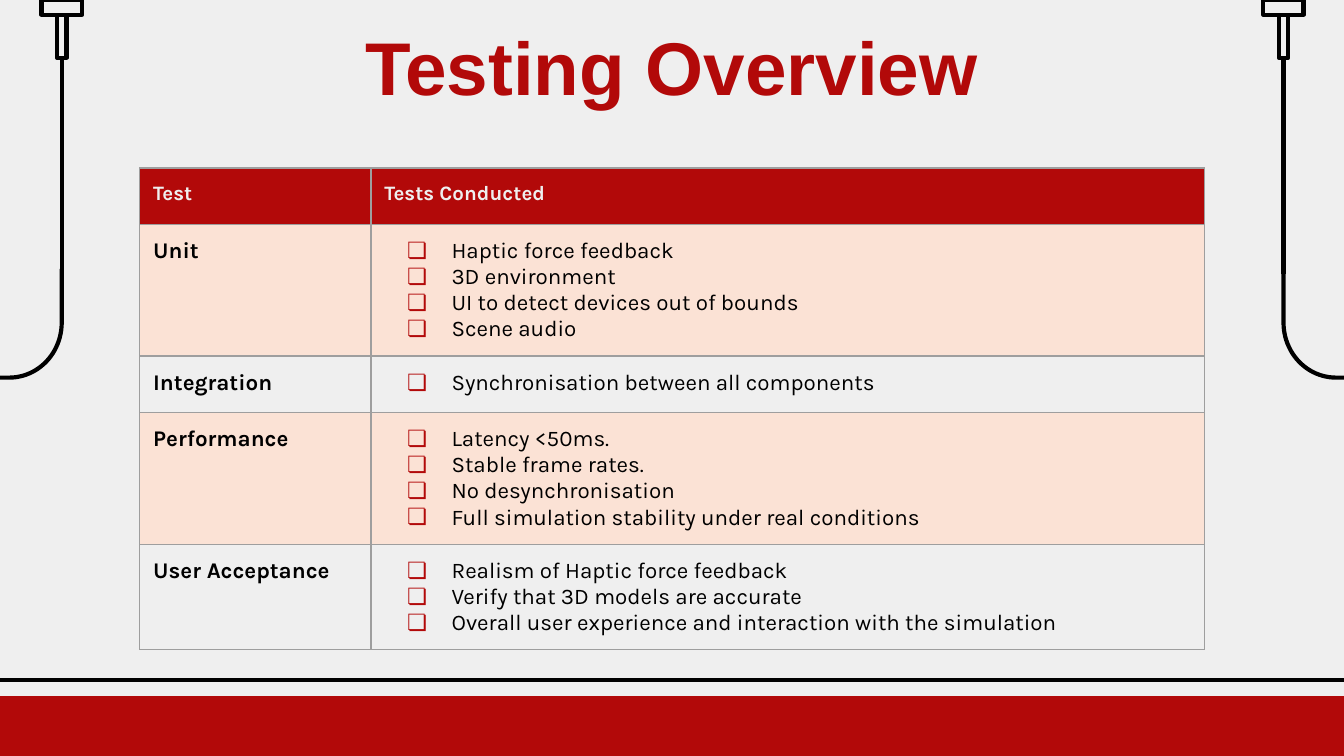
"""Build the Testing Overview slide with its table and cable decorations."""
from dataclasses import dataclass
from math import cos, pi, sin

from lxml.etree import SubElement
from pptx import Presentation
from pptx.dml.color import RGBColor
from pptx.enum.shapes import MSO_CONNECTOR, MSO_SHAPE
from pptx.enum.text import MSO_ANCHOR, MSO_AUTO_SIZE, PP_ALIGN
from pptx.oxml.ns import qn
from pptx.util import Inches, Pt


@dataclass(frozen=True)
class Theme:
    red: str = "B20909"
    paper: str = "EFEFEF"
    peach: str = "FBE2D5"
    ink: str = "000000"
    border: str = "9E9E9E"
    title_font: str = "Arial"
    table_font: str = "Karla"
    title_size: int = 40
    header_size: int = 11
    body_size: int = 12
    stroke: float = 2.25
    border_width: float = 0.75


theme = Theme()


def add_text(paragraph, text, font_name, size, color, bold):
    run = paragraph.add_run()
    run.text = text
    run.font.name = font_name
    run.font.size = Pt(size)
    run.font.bold = bold
    run.font.color.rgb = RGBColor.from_string(color)


def draw_stroke(outline):
    outline.line.color.rgb = RGBColor.from_string(theme.ink)
    outline.line.width = Pt(theme.stroke)
    SubElement(outline._element.spPr, qn("a:effectLst"))


prs = Presentation()
prs.slide_width = Inches(10)
prs.slide_height = Inches(10 * 9 / 16)
slide = prs.slides.add_slide(prs.slide_layouts[5])
slide.background.fill.solid()
slide.background.fill.fore_color.rgb = RGBColor.from_string(theme.paper)
shapes = slide.shapes

floor_line = shapes.add_connector(
    MSO_CONNECTOR.STRAIGHT, Inches(-0.04), Inches(5.06), Inches(10.02), Inches(5.06))
draw_stroke(floor_line)

footer_band = shapes.add_shape(
    MSO_SHAPE.RECTANGLE, Inches(-0.01), Inches(5.18), Inches(10.03), Inches(0.46))
footer_band.shadow.inherit = False
footer_band.fill.solid()
footer_band.fill.fore_color.rgb = RGBColor.from_string(theme.red)
footer_band.line.fill.background()

bend_top, bend_radius_x, bend_radius_y, arc_steps = 2.4, 0.39, 0.41, 24
for cable_x, outward, slide_edge in ((9.55, 1, 10), (0.46, -1, 0)):
    for top, width, height in ((0, 0.3, 0.11), (0.11, 0.07, 0.32)):
        plug_part = shapes.add_shape(
            MSO_SHAPE.RECTANGLE, Inches(cable_x - width / 2), Inches(top),
            Inches(width), Inches(height))
        plug_part.fill.background()
        draw_stroke(plug_part)

    cable = shapes.add_connector(
        MSO_CONNECTOR.STRAIGHT, Inches(cable_x), Inches(2.04), Inches(cable_x), Inches(0.43))
    cable.end_connect(plug_part, 2)
    draw_stroke(cable)

    arc = []
    for step in range(arc_steps + 1):
        angle = pi / 2 * step / arc_steps
        arc.append((Inches(cable_x + outward * bend_radius_x * (1 - cos(angle))),
                    Inches(bend_top + bend_radius_y * sin(angle))))
    bend_path = shapes.build_freeform(Inches(cable_x), Inches(2))
    bend_path.add_line_segments(
        arc + [(Inches(slide_edge), Inches(bend_top + bend_radius_y))], close=False)
    bend = bend_path.convert_to_shape()
    bend.fill.background()
    draw_stroke(bend)

title = shapes.title
title.left, title.top = Inches(0.53), Inches(0.04)
title.width, title.height = Inches(8.93), Inches(0.9)
title_frame = title.text_frame
title_frame.auto_size = MSO_AUTO_SIZE.NONE
title_frame.word_wrap = True
title_frame.vertical_anchor = MSO_ANCHOR.MIDDLE
title_frame.margin_left = title_frame.margin_right = Inches(0.1)
title_frame.margin_top = title_frame.margin_bottom = Inches(0.1)
title_frame.paragraphs[0].alignment = PP_ALIGN.CENTER
add_text(title_frame.paragraphs[0], "Testing Overview", theme.title_font,
         theme.title_size, theme.red, True)

test_rows = [
    ("Test", ["Tests Conducted"]),
    ("Unit", ["Haptic force feedback", "3D environment",
              "UI to detect devices out of bounds", "Scene audio"]),
    ("Integration", ["Synchronisation between all components"]),
    ("Performance", ["Latency <50ms.", "Stable frame rates.", "No desynchronisation",
                     "Full simulation stability under real conditions"]),
    ("User Acceptance", ["Realism of Haptic force feedback",
                         "Verify that 3D models are accurate",
                         "Overall user experience and interaction with the simulation"]),
]
row_heights = (0.42, 0.42, 0.42, 0.42, 0.63)
tests = shapes.add_table(len(test_rows), 2, Inches(1.04), Inches(1.25),
                         Inches(7.92), Inches(sum(row_heights))).table
tests.horz_banding = False
tests.columns[0].width = Inches(1.72)
tests.columns[1].width = Inches(6.2)

for row_index, (test_name, conducted) in enumerate(test_rows):
    tests.rows[row_index].height = Inches(row_heights[row_index])
    is_header = row_index == 0
    size = theme.header_size if is_header else theme.body_size
    color = theme.paper if is_header else theme.ink
    for column_index, entries in enumerate(([test_name], conducted)):
        cell = tests.cell(row_index, column_index)
        cell.margin_left = cell.margin_right = Inches(0.1)
        cell.margin_top = cell.margin_bottom = Inches(0.1)
        cell_properties = cell._tc.get_or_add_tcPr()
        for side in ("a:lnL", "a:lnR", "a:lnT", "a:lnB"):
            edge = SubElement(cell_properties, qn(side), w=str(Pt(theme.border_width)))
            edge_fill = SubElement(edge, qn("a:solidFill"))
            SubElement(edge_fill, qn("a:srgbClr"), val=theme.border)
        if is_header or row_index % 2:
            cell.fill.solid()
            cell.fill.fore_color.rgb = RGBColor.from_string(
                theme.red if is_header else theme.peach)
        else:
            cell.fill.background()

        is_list = column_index == 1 and not is_header
        for entry_index, entry in enumerate(entries):
            paragraph = (cell.text_frame.add_paragraph() if entry_index
                         else cell.text_frame.paragraphs[0])
            if is_list:
                properties = paragraph._p.get_or_add_pPr()
                properties.set("marL", str(Inches(0.5)))
                properties.set("indent", str(Inches(-0.33)))
                bullet_color = SubElement(properties, qn("a:buClr"))
                SubElement(bullet_color, qn("a:srgbClr"), val=theme.red)
                SubElement(properties, qn("a:buFont"), typeface=theme.table_font)
                SubElement(properties, qn("a:buChar"), char="❏")
            add_text(paragraph, entry, theme.table_font, size, color, not is_list)

prs.save("out.pptx")
